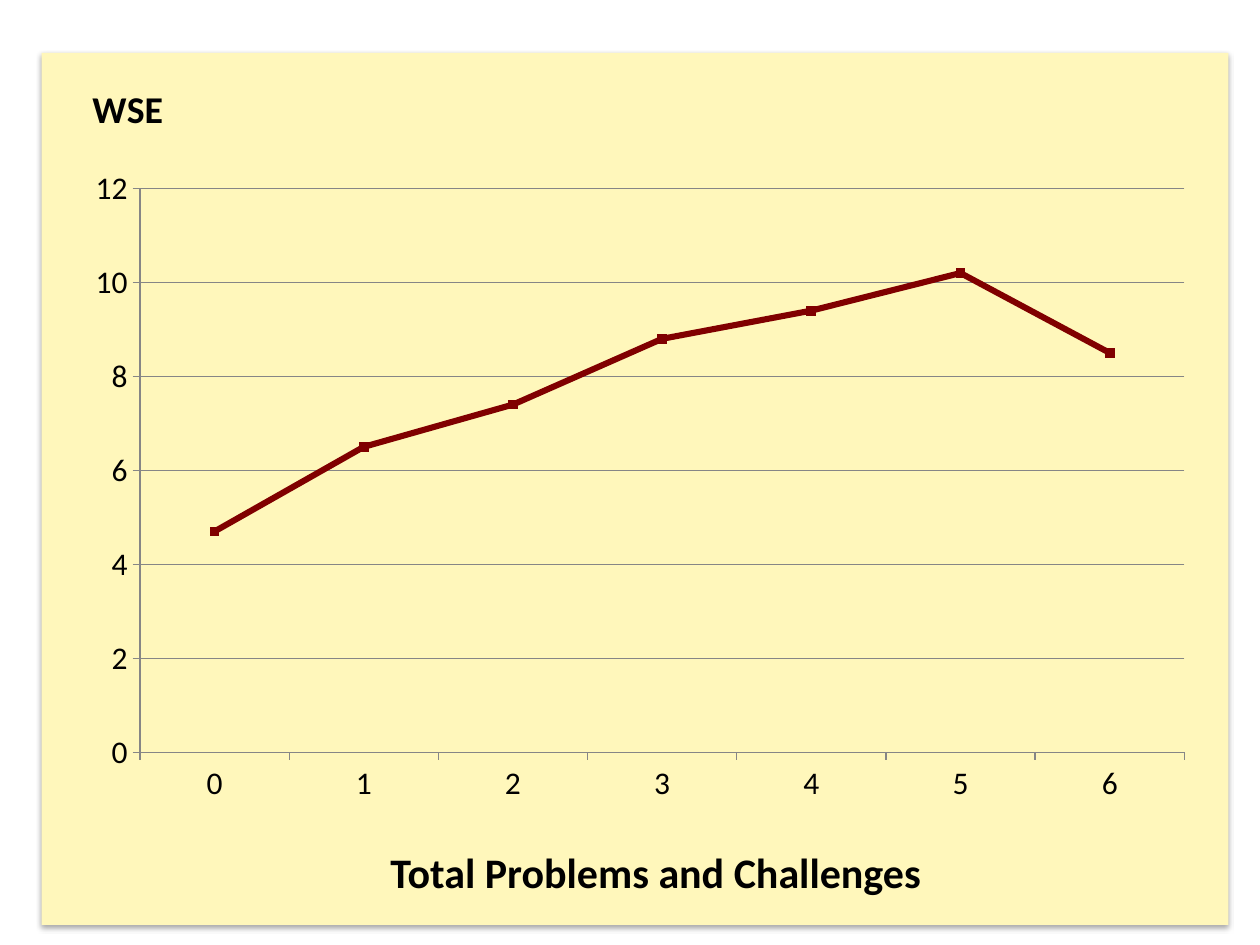
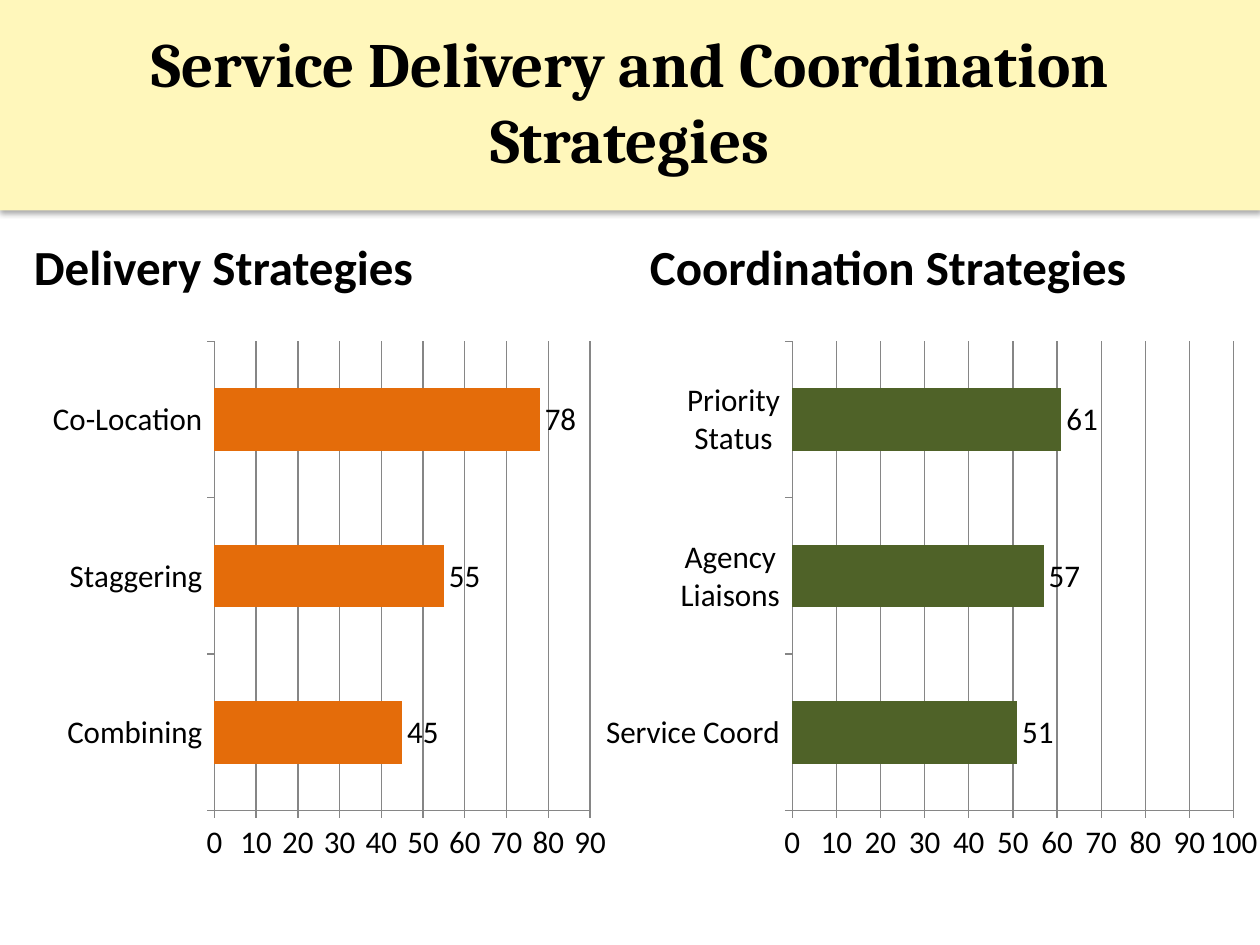
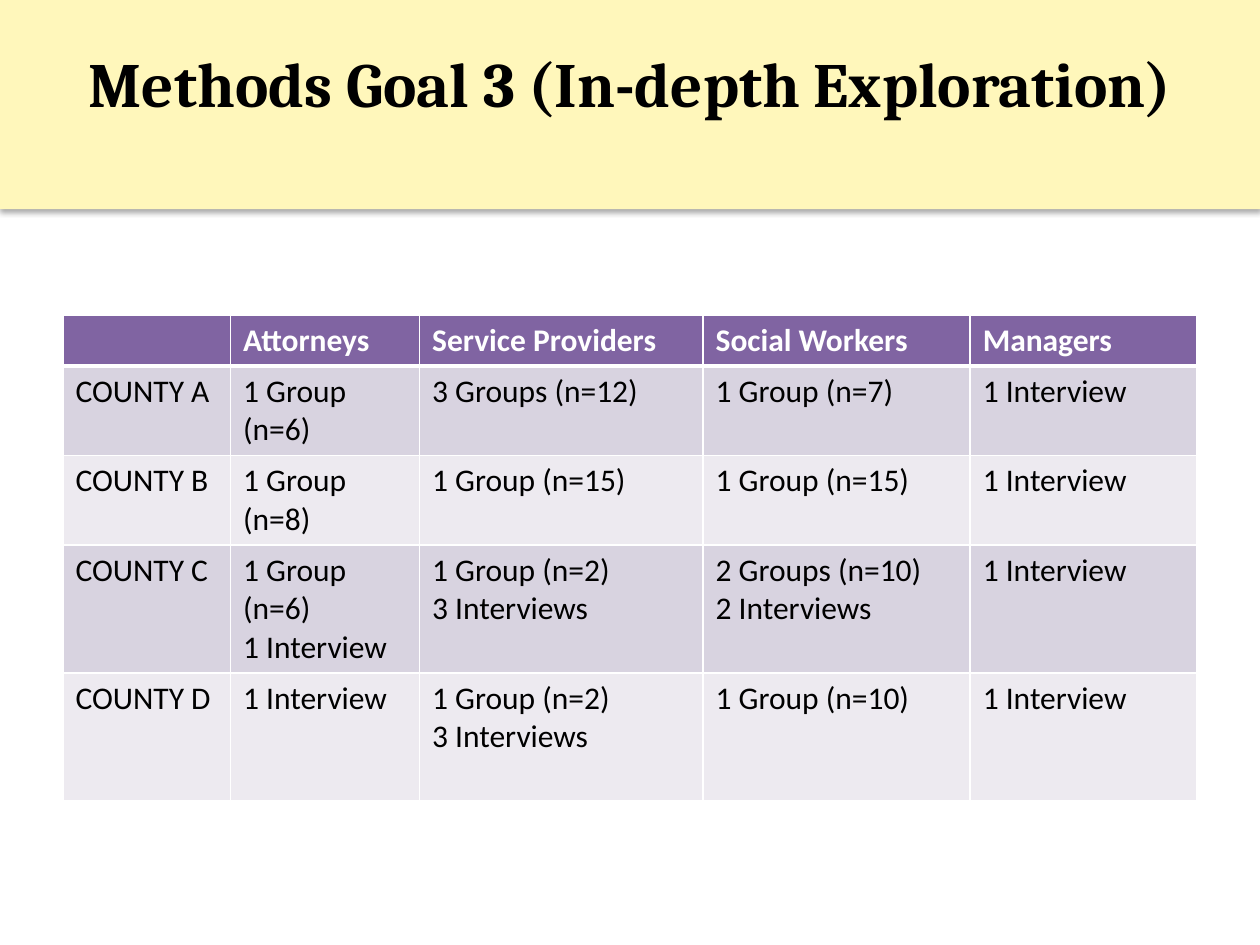
import lxml.etree
import pptx
import pptx.chart.data
import pptx.dml.color
import pptx.enum.chart
import pptx.enum.shapes
import pptx.enum.text
import pptx.oxml.ns
import pptx.util

Inches = pptx.util.Inches
Pt = pptx.util.Pt
qn = pptx.oxml.ns.qn

COLORS = {
    "band": "FFF7BB",
    "ink": "000000",
    "white": "FFFFFF",
    "grid": "868686",
    "maroon": "800000",
    "orange": "E46C0A",
    "green": "4F6228",
    "head": "8064A2",
    "odd": "D8D3E0",
    "even": "EDEAF0",
}


def color(name):
    return pptx.dml.color.RGBColor.from_string(COLORS[name])


def add(node, tag, **attrs):
    return lxml.etree.SubElement(node, qn(tag), attrs)


def box(*sizes):
    return [Inches(size) for size in sizes]


class Deck:
    body = "Calibri"
    serif = "Cambria"

    def __init__(self):
        self.prs = pptx.Presentation()
        self.prs.slide_width = Inches(10)
        self.prs.slide_height = Inches(7.5)

    def start(self, layout):
        self.slide = self.prs.slides.add_slide(self.prs.slide_layouts[layout])

    def style(self, font, size, bold=False, tone="ink", face=body):
        font.name = face
        font.size = Pt(size)
        font.bold = bold
        font.color.rgb = color(tone)

    def band(self, *place):
        rect = self.slide.shapes.add_shape(
            pptx.enum.shapes.MSO_SHAPE.RECTANGLE, *box(*place))
        rect.fill.solid()
        rect.fill.fore_color.rgb = color("band")
        rect.line.fill.background()
        rect.shadow.inherit = False
        glow = add(rect.element.spPr.find(qn("a:effectLst")), "a:outerShdw",
                   blurRad=str(Pt(3.1)), dist=str(Pt(1.8)),
                   dir="5400000", rotWithShape="0")
        tint = add(glow, "a:srgbClr", val=COLORS["ink"])
        add(tint, "a:alpha", val="35000")
        rect.element.getparent().insert(2, rect.element)

    def title(self, text, *place, anchor="MIDDLE"):
        shape = self.slide.shapes.title
        shape.left, shape.top, shape.width, shape.height = box(*place)
        frame = shape.text_frame
        frame.text = text
        frame.auto_size = pptx.enum.text.MSO_AUTO_SIZE.NONE
        frame.vertical_anchor = pptx.enum.text.MSO_ANCHOR[anchor]
        para = frame.paragraphs[0]
        para.alignment = pptx.enum.text.PP_ALIGN.CENTER
        self.style(para.font, 36, True, face=self.serif)

    def label(self, text, size, *place):
        frame = self.slide.shapes.add_textbox(*box(*place)).text_frame
        frame.word_wrap = True
        frame.auto_size = pptx.enum.text.MSO_AUTO_SIZE.SHAPE_TO_FIT_TEXT
        frame.text = text
        self.style(frame.paragraphs[0].font, size, True)

    def lay(self, node, index, inner=False, **spots):
        old = node.find(qn("c:layout"))
        if old is not None:
            node.remove(old)
        layout = lxml.etree.Element(qn("c:layout"))
        node.insert(index, layout)
        manual = add(layout, "c:manualLayout")
        if inner:
            add(manual, "c:layoutTarget", val="inner")
        for key in "xy":
            add(manual, f"c:{key}Mode", val="edge")
        for key, spot in spots.items():
            add(manual, f"c:{key}", val=str(spot))

    def chart(self, kind, name, data, top, step, place, plot):
        source = pptx.chart.data.CategoryChartData()
        source.categories = list(data)
        source.add_series(name, list(data.values()))
        chart = self.slide.shapes.add_chart(
            pptx.enum.chart.XL_CHART_TYPE[kind], *box(*place), source).chart
        self.style(chart.font, 18)
        chart.has_legend = False
        chart.has_title = False
        axis = chart.value_axis
        axis.minimum_scale, axis.maximum_scale, axis.major_unit = 0, top, step
        axis.has_major_gridlines = True
        for part in (axis, chart.category_axis, axis.major_gridlines):
            part.format.line.color.rgb = color("grid")
            part.format.line.width = Pt(0.75)
        chart.plots[0].vary_by_categories = False
        area = chart.element.find(".//" + qn("c:plotArea"))
        self.lay(area, 0, True, **dict(zip("xywh", plot)))
        return chart

    def trend(self, name, data, place):
        chart = self.chart("LINE_MARKERS", name, data, 12, 2, place,
                           (0.059, 0.166, 0.921, 0.746))
        chart.has_title = True
        head = chart.chart_title
        head.text_frame.text = name
        self.style(head.text_frame.paragraphs[0].font, 21.6, True)
        self.lay(head.element, 1, x=0.011, y=0.016)
        line = chart.plots[0].series[0]
        line.smooth = False
        line.format.line.color.rgb = color("maroon")
        line.format.line.width = Pt(3.5)
        mark = line.marker
        mark.style = pptx.enum.chart.XL_MARKER_STYLE.SQUARE
        mark.size = 5
        mark.format.fill.solid()
        mark.format.fill.fore_color.rgb = color("maroon")
        mark.format.line.color.rgb = color("maroon")

    def bars(self, data, tone, top, place):
        chart = self.chart("BAR_CLUSTERED", "Series 1", data, top, 10, place,
                           (0.277, 0.03, 0.687, 0.86))
        plot = chart.plots[0]
        plot.gap_width = 150
        fill = plot.series[0].format.fill
        fill.solid()
        fill.fore_color.rgb = color(tone)
        plot.has_data_labels = True
        tags = plot.data_labels
        tags.show_value = True
        tags.position = pptx.enum.chart.XL_LABEL_POSITION.OUTSIDE_END
        self.style(tags.font, 18)

    def cell(self, cell, text, row):
        first = row == 0
        props = cell._tc.get_or_add_tcPr()
        for side in "LRTB":
            thick = 3 if first and side == "B" or row == 1 and side == "T" else 1
            edge = add(props, f"a:ln{side}", w=str(Pt(thick)))
            add(add(edge, "a:solidFill"), "a:srgbClr", val=COLORS["white"])
        cell.fill.solid()
        tone = "head" if first else "odd" if row % 2 else "even"
        cell.fill.fore_color.rgb = color(tone)
        cell.text = text
        for para in cell.text_frame.paragraphs:
            self.style(para.font, 18, first, "white" if first else "ink")

    def table(self, rows, widths, heights, left, top):
        grid = self.slide.shapes.add_table(
            len(rows), len(widths),
            *box(left, top, sum(widths), sum(heights))).table
        for col, width in zip(grid.columns, widths):
            col.width = Inches(width)
        for r, (texts, height) in enumerate(zip(rows, heights)):
            grid.rows[r].height = Inches(height)
            for c, text in enumerate(texts):
                self.cell(grid.cell(r, c), text, r)


def main():
    deck = Deck()

    deck.start(6)
    deck.band(0.33, 0.42, 9.42, 6.92)
    scores = [4.7, 6.5, 7.4, 8.8, 9.4, 10.2, 8.5]
    deck.trend("WSE", {str(n): score for n, score in enumerate(scores)},
               (0.58, 0.5, 9, 6))
    deck.label("Total Problems and Challenges", 24, 3, 6.67, 4.58, 0.5)

    deck.start(5)
    deck.band(0, 0, 10, 1.67)
    deck.title("Service Delivery and Coordination Strategies",
               0.5, 0.17, 9, 1.25)
    deck.bars({"Combining": 45, "Staggering": 55, "Co-Location": 78},
              "orange", 90, (0.42, 2.58, 4.42, 4.33))
    deck.label("Delivery Strategies", 28, 0.17, 1.83, 4.42, 0.58)
    deck.bars({"Service Coord": 51, "Agency Liaisons": 57,
               "Priority Status": 61},
              "green", 100, (4.81, 2.58, 5.17, 4.33))
    deck.label("Coordination Strategies", 28, 5.06, 1.83, 4.42, 0.58)

    deck.start(5)
    deck.band(0, -0.01, 10, 1.67)
    deck.title("Methods Goal 3 (In-depth Exploration)",
               0, 0.3, 10, 1.25, anchor="TOP")
    rows = [
        ["", "Attorneys", "Service Providers", "Social Workers", "Managers"],
        ["COUNTY A", "1 Group (n=6)", "3 Groups (n=12)", "1 Group (n=7)",
         "1 Interview"],
        ["COUNTY B", "1 Group (n=8)", "1 Group (n=15)", "1 Group (n=15)",
         "1 Interview"],
        ["COUNTY C", "1 Group (n=6)\n1 Interview",
         "1 Group (n=2)\n3 Interviews", "2 Groups (n=10)\n2 Interviews",
         "1 Interview"],
        ["COUNTY D", "1 Interview", "1 Group (n=2)\n3 Interviews",
         "1 Group (n=10)", "1 Interview"],
    ]
    deck.table(rows, [1.33, 1.5, 2.25, 2.12, 1.8],
               [0.4, 0.71, 0.71, 1.01, 1.01], 0.5, 2.5)

    deck.prs.save("out.pptx")


if __name__ == "__main__":
    main()
